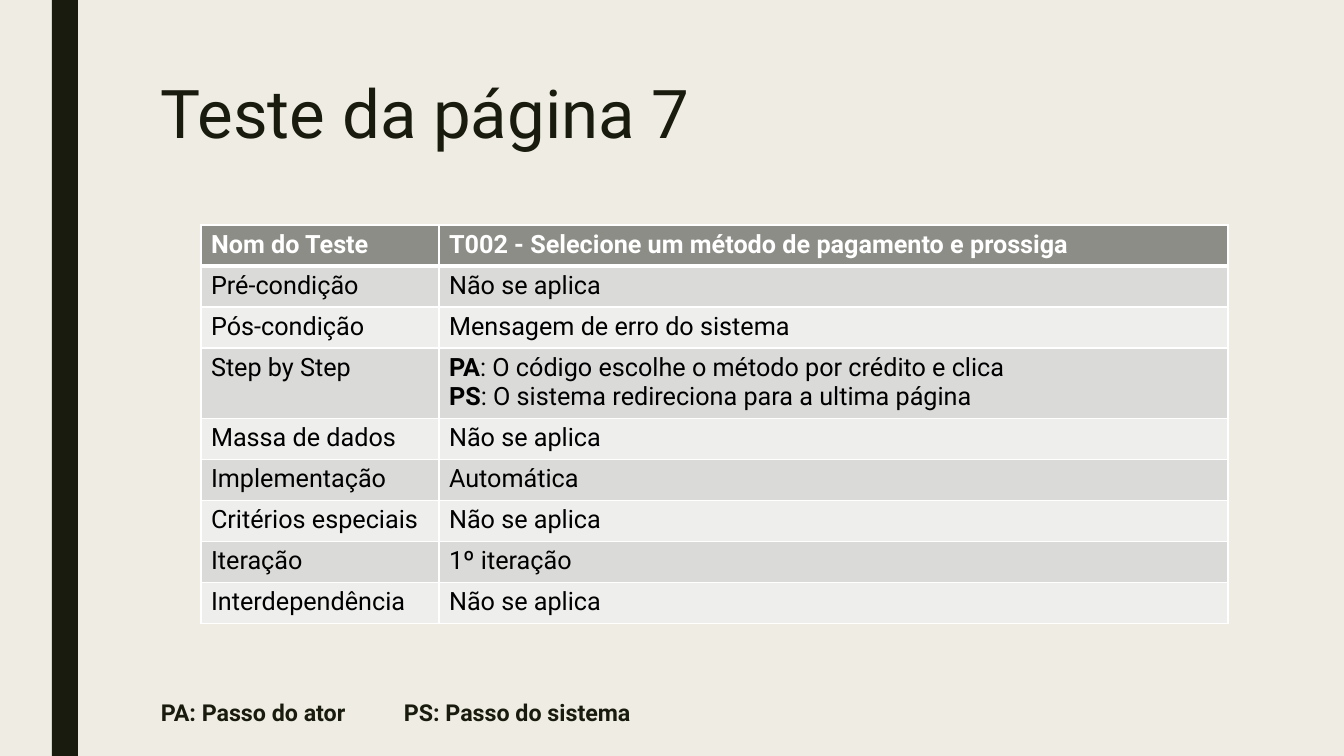
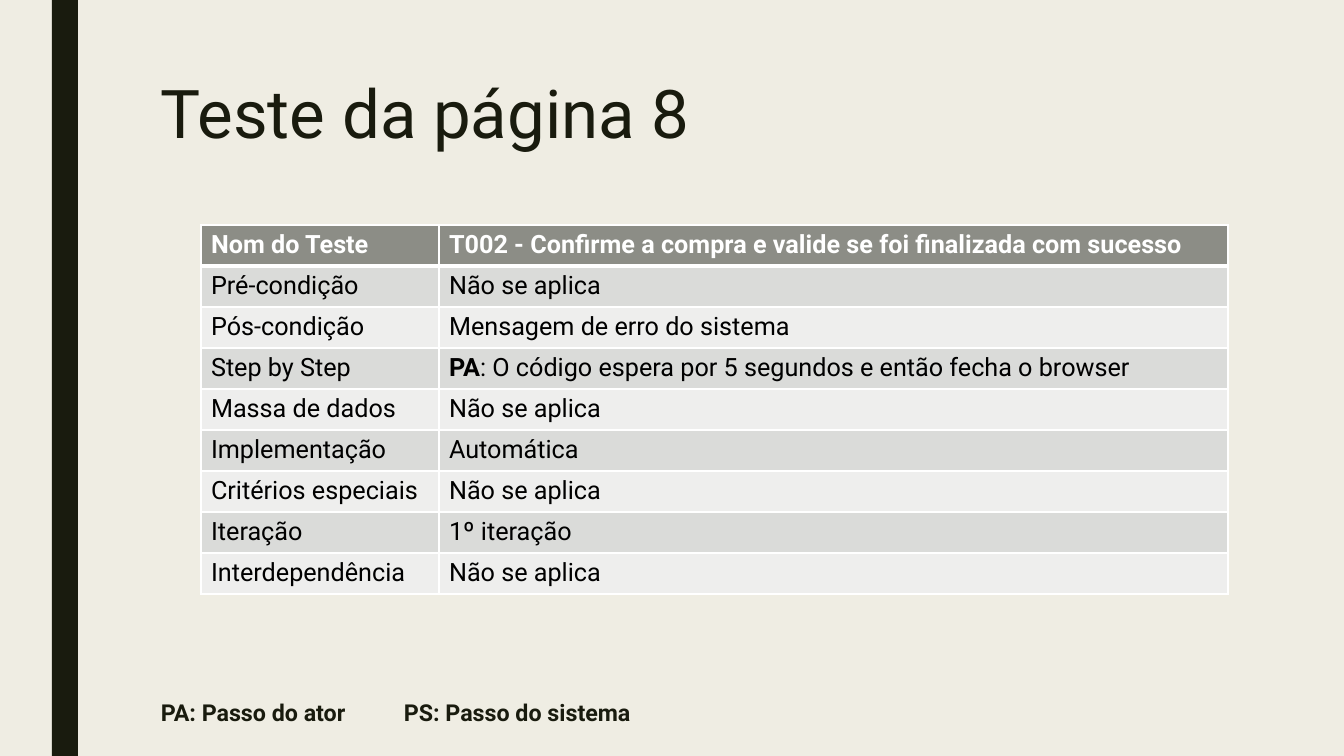
"""Build two test-case slides, each with a title, a table of properties and a legend."""
import pptx
import pptx.dml.color
import pptx.enum.shapes
import pptx.oxml
import pptx.oxml.ns
import pptx.util

RGBColor = pptx.dml.color.RGBColor
PIXEL = 914400 / 100.8
SLIDE_WIDTH, SLIDE_HEIGHT = 1344, 756
FONT = "Roboto"
CREAM = RGBColor(0xEF, 0xED, 0xE3)
INK = RGBColor(0x19, 0x1B, 0x0E)
HEADER = RGBColor(0x8C, 0x8D, 0x86)
BANDS = (RGBColor(0xEE, 0xEE, 0xED), RGBColor(0xDA, 0xDB, 0xD9))
WHITE = RGBColor(0xFF, 0xFF, 0xFF)
BLACK = RGBColor(0, 0, 0)

BAND_BOX = (52, 0, 26, SLIDE_HEIGHT)
TITLE_BOX = (151, 76, 1058, 163)
TABLE_BOX = (201, 225, 1027, 369)
LEGEND_BOX = (151, 698, 1148, 28)
LABEL_WIDTH = 238
ROW_HEIGHT, EXTRA_LINE = 41, 28
LEGEND_TAB = 243

TESTS = [
    ("Teste da página 7", "T002 - Selecione um método de pagamento e prossiga",
     ["PA: O código escolhe o método por crédito e clica",
      "PS: O sistema redireciona para a ultima página"]),
    ("Teste da página 8", "T002 - Confirme a compra e valide se foi finalizada com sucesso",
     ["PA: O código espera por 5 segundos e então fecha o browser"]),
]


def px(length):
    """Convert picture pixels to EMU."""
    return pptx.util.Emu(round(length * PIXEL))


def place(box):
    """Convert a pixel box to EMU lengths."""
    return [px(length) for length in box]


def style(paragraph, size, color, bold=False):
    """Give every run of a paragraph the same look."""
    for run in paragraph.runs:
        run.font.name = FONT
        run.font.size = pptx.util.Pt(size)
        run.font.color.rgb = color
        run.font.bold = bold


def add_band(slide, box):
    """Draw the dark vertical band."""
    band = slide.shapes.add_shape(pptx.enum.shapes.MSO_SHAPE.RECTANGLE, *place(box))
    band.shadow.inherit = False
    band.fill.solid()
    band.fill.fore_color.rgb = INK
    band.line.fill.background()


def add_text(slide, box, text, size, bold=False):
    """Add a one-paragraph text box and return its text frame."""
    frame = slide.shapes.add_textbox(*place(box)).text_frame
    frame.word_wrap = True
    frame.text = text
    style(frame.paragraphs[0], size, INK, bold)
    return frame


def add_title(slide, box, title):
    """Add the slide title."""
    add_text(slide, box, title, 48).paragraphs[0].line_spacing = 0.89


def add_legend(slide, box):
    """Explain the step abbreviations, the second one at a tab stop."""
    frame = add_text(slide, box, "PA: Passo do ator\tPS: Passo do sistema", 16.6, True)
    frame.margin_top = frame.margin_bottom = 0
    properties = frame.paragraphs[0]._p.get_or_add_pPr()
    tabs = pptx.oxml.parse_xml(
        f'<a:tabLst {pptx.oxml.ns.nsdecls("a")}><a:tab pos="{px(LEGEND_TAB)}" algn="l"/></a:tabLst>')
    properties.append(tabs)


def set_borders(cell, bottom):
    """Draw white cell borders, with the given bottom width in points."""
    properties = cell._tc.get_or_add_tcPr()
    widths = {"lnL": 1, "lnR": 1, "lnT": 1, "lnB": bottom}
    for position, (side, width) in enumerate(widths.items()):
        properties.insert(position, pptx.oxml.parse_xml(
            f'<a:{side} {pptx.oxml.ns.nsdecls("a")} w="{pptx.util.Pt(width)}">'
            f'<a:solidFill><a:srgbClr val="{WHITE}"/></a:solidFill></a:{side}>'))


def fill_cell(cell, text, row):
    """Write, colour and outline one cell according to its row."""
    is_header = row == 0
    cell.text = text
    cell.fill.solid()
    cell.fill.fore_color.rgb = HEADER if is_header else BANDS[row % 2]
    for paragraph in cell.text_frame.paragraphs:
        style(paragraph, 18, WHITE if is_header else BLACK, is_header)
    set_borders(cell, 3 if is_header else 1)


def mark_actors(cell):
    """Set the abbreviation that opens each step in bold."""
    for paragraph in cell.text_frame.paragraphs:
        actor, action = paragraph.text.split(":", 1)
        paragraph.text = actor
        paragraph.add_run().text = ":" + action
        style(paragraph, 18, BLACK)
        paragraph.runs[0].font.bold = True


def add_test_table(slide, box, name, steps):
    """Add the table that describes one test."""
    properties = [
        ("Nom do Teste", name),
        ("Pré-condição", "Não se aplica"),
        ("Pós-condição", "Mensagem de erro do sistema"),
        ("Step by Step", "\n".join(steps)),
        ("Massa de dados", "Não\u00a0se aplica"),
        ("Implementação", "Automática"),
        ("Critérios especiais", "Não se aplica"),
        ("Iteração", "1º iteração"),
        ("Interdependência", "Não se aplica"),
    ]
    table = slide.shapes.add_table(len(properties), 2, *place(box)).table
    table.columns[0].width = px(LABEL_WIDTH)
    table.columns[1].width = px(box[2] - LABEL_WIDTH)
    for row, (label, value) in enumerate(properties):
        table.rows[row].height = px(ROW_HEIGHT + EXTRA_LINE * value.count("\n"))
        fill_cell(table.cell(row, 0), label, row)
        fill_cell(table.cell(row, 1), value, row)
        if label == "Step by Step":
            mark_actors(table.cell(row, 1))


def add_test_slide(deck, title, name, steps):
    """Add one test-case slide."""
    slide = deck.slides.add_slide(deck.slide_layouts[6])
    slide.background.fill.solid()
    slide.background.fill.fore_color.rgb = CREAM
    add_band(slide, BAND_BOX)
    add_title(slide, TITLE_BOX, title)
    add_legend(slide, LEGEND_BOX)
    add_test_table(slide, TABLE_BOX, name, steps)


def main():
    """Build and save the deck."""
    deck = pptx.Presentation()
    deck.slide_width, deck.slide_height = px(SLIDE_WIDTH), px(SLIDE_HEIGHT)
    for test in TESTS:
        add_test_slide(deck, *test)
    deck.save("out.pptx")


main()
